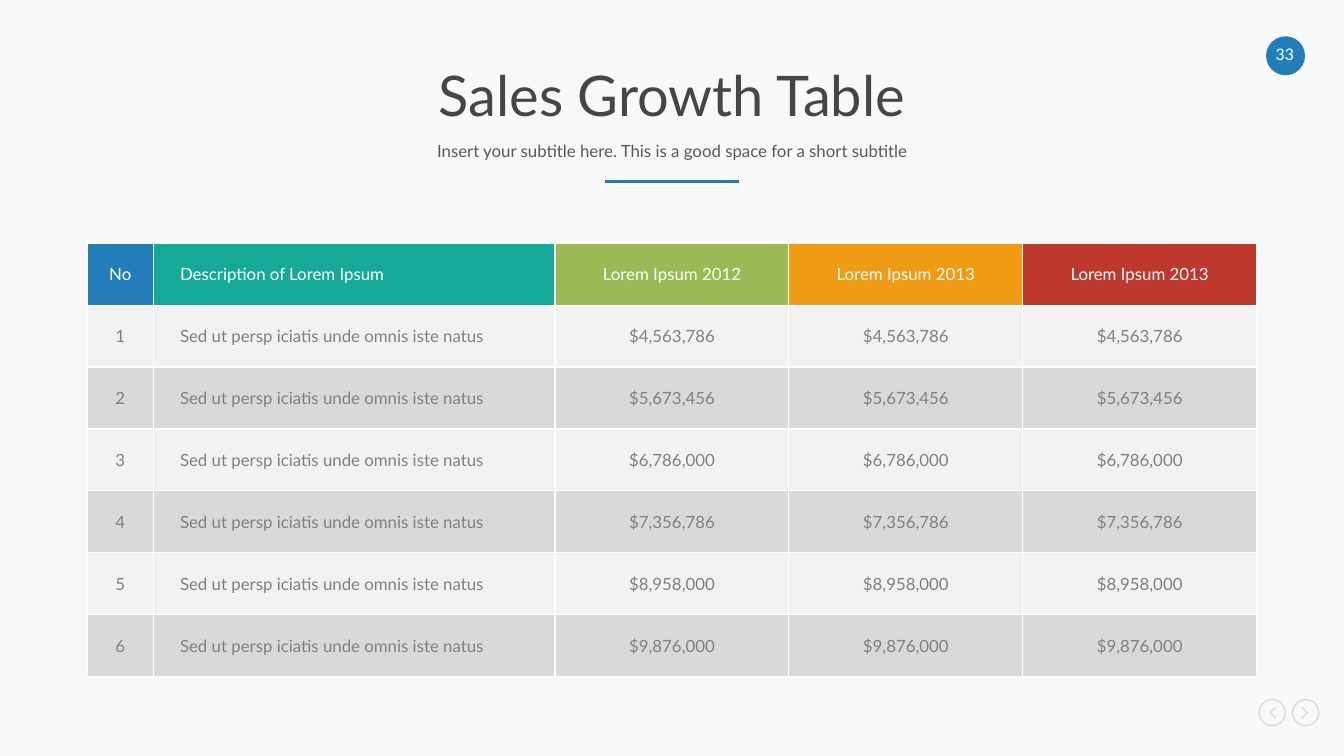
from lxml.etree import SubElement
from pptx import Presentation
from pptx.dml.color import RGBColor
from pptx.enum.shapes import MSO_CONNECTOR as Connector, MSO_SHAPE as Shape
from pptx.enum.text import MSO_ANCHOR as Anchor, MSO_AUTO_SIZE as AutoSize, PP_ALIGN as Align
from pptx.oxml.ns import qn
from pptx.util import Inches, Pt

UNIT = Inches(0.1)
COLUMNS, ROWS = 100, 56.25
MARGIN = 6.5
CONTENT = COLUMNS - 2 * MARGIN
BLUE, WHITE, PALE, GREY = "237DB9", "FFFFFF", "F2F2F2", "D9D9D9"
HEADERS = [
    ("No", BLUE, 4.9),
    ("Description of Lorem Ipsum", "14AA96", 29.9),
    ("Lorem Ipsum 2012", "9BB955", 17.4),
    ("Lorem Ipsum 2013", "F09B14", 17.4),
    ("Lorem Ipsum 2013", "BE392B", 17.4),
]
DESCRIPTION = "Sed ut persp iciatis unde omnis iste natus"
SALES = ["$4,563,786", "$5,673,456", "$6,786,000", "$7,356,786", "$8,958,000", "$9,876,000"]
ROW_HEIGHT = 4.61


def grid(*values):
    return [round(v * UNIT) for v in values]


def rgb(value):
    return RGBColor.from_string(value)


def set_all(target, values):
    for name, value in values.items():
        setattr(target, name, value)


def write(tf, text, size, color, align=Align.CENTER, spacing=None):
    p = tf.paragraphs[0]
    set_all(p, {"alignment": align, "line_spacing": spacing})
    r = p.add_run()
    r.text = text
    set_all(r.font, {"name": "Lato", "size": Pt(size)})
    r.font.color.rgb = rgb(color)


def place_text(sp, at, text, size, color, spacing=None):
    set_all(sp, dict(zip(("left", "top", "width", "height"), grid(*at))))
    tf = sp.text_frame
    set_all(tf, {"margin_left": 0, "margin_top": 0, "margin_right": 0, "margin_bottom": 0,
                 "word_wrap": True, "auto_size": AutoSize.NONE, "vertical_anchor": Anchor.MIDDLE})
    write(tf, text, size, color, spacing=spacing)


def add_text(s, at, *style):
    place_text(s.shapes.add_textbox(*grid(*at)), at, *style)


def paint(sp, fill=None, line=None):
    sp.shadow.inherit = False
    if fill:
        sp.fill.solid()
        sp.fill.fore_color.rgb = rgb(fill)
    else:
        sp.fill.background()
    if line:
        sp.line.color.rgb = rgb(line)
        sp.line.width = Pt(0.75)
    else:
        sp.line.fill.background()


def add_circle(s, left, top, size, fill=None, line=None):
    paint(s.shapes.add_shape(Shape.OVAL, *grid(left, top, size, size)), fill, line)


def add_rule(s, start, end, y):
    line = s.shapes.add_connector(Connector.STRAIGHT, *grid(start, y, end, y))
    line.line.color.rgb = rgb(BLUE)
    line.line.width = Pt(1.5)
    SubElement(line._element.spPr, qn("a:effectLst"))


def add_arrow_button(s, center, direction):
    middle = 53.03
    outline = [(0.25, -0.45), (0.3, -0.37), (-0.05, 0), (0.3, 0.37), (0.25, 0.45), (-0.2, 0)]
    points = [grid(center - direction * x, middle + y) for x, y in outline]
    builder = s.shapes.build_freeform(*points[0])
    builder.add_line_segments(points[1:], close=True)
    paint(builder.convert_to_shape(), fill=GREY)
    add_circle(s, center - 0.97, middle - 0.97, 1.94, line=GREY)


def border(cell, widths):
    tc_pr = cell._tc.get_or_add_tcPr()
    for side, width in zip("LRTB", widths):
        ln = SubElement(tc_pr, qn(f"a:ln{side}"), w=str(Pt(width)))
        SubElement(SubElement(ln, qn("a:solidFill")), qn("a:srgbClr"), val=WHITE)


def add_sales_table(s):
    rows = [[text for text, _, _ in HEADERS]]
    rows += [[str(n), DESCRIPTION] + [amount] * 3 for n, amount in enumerate(SALES, 1)]
    last_row, last_column = len(rows) - 1, len(HEADERS) - 1
    frame = s.shapes.add_table(len(rows), len(HEADERS),
                               *grid(MARGIN, 18.1, CONTENT, ROW_HEIGHT * len(rows)))
    table = frame.table
    for column, (_, _, width) in zip(table.columns, HEADERS):
        column.width = grid(width)[0]
    for i, row in enumerate(rows):
        table.rows[i].height = grid(ROW_HEIGHT)[0]
        for j, text in enumerate(row):
            cell = table.cell(i, j)
            edges = (j == 0, j == last_column, i == 0, i == last_row)
            border(cell, [1 if edge else 0.75 for edge in edges])
            cell.fill.solid()
            cell.fill.fore_color.rgb = rgb(HEADERS[j][1] if i == 0 else PALE if i % 2 else GREY)
            cell.vertical_anchor = Anchor.MIDDLE
            if j == 1:
                cell.margin_left = Inches(0.2)
            write(cell.text_frame, text, 9, "808080" if i else WHITE,
                  Align.LEFT if j == 1 else Align.CENTER)


def main():
    prs = Presentation()
    prs.slide_width, prs.slide_height = grid(COLUMNS, ROWS)
    s = prs.slides.add_slide(prs.slide_layouts[5])
    s.background.fill.solid()
    s.background.fill.fore_color.rgb = rgb("F9F9F9")

    add_rule(s, 45, 55, 13.5)
    add_circle(s, 94.2, 2.7, 2.9, fill=BLUE)
    add_text(s, (94.4, 3.3, 2.4, 1.4), "33", 8.5, WHITE)
    add_arrow_button(s, 94.65, -1)
    add_arrow_button(s, 97.15, 1)
    place_text(s.shapes.title, (MARGIN, 4.8, CONTENT, 5), "Sales Growth Table", 30, "464646", 0.9)
    add_text(s, (MARGIN, 10.1, CONTENT, 2.5),
             "Insert your subtitle here. This is a good space for a short subtitle", 9, "595959", 0.9)
    add_sales_table(s)
    prs.save("out.pptx")


if __name__ == "__main__":
    main()
